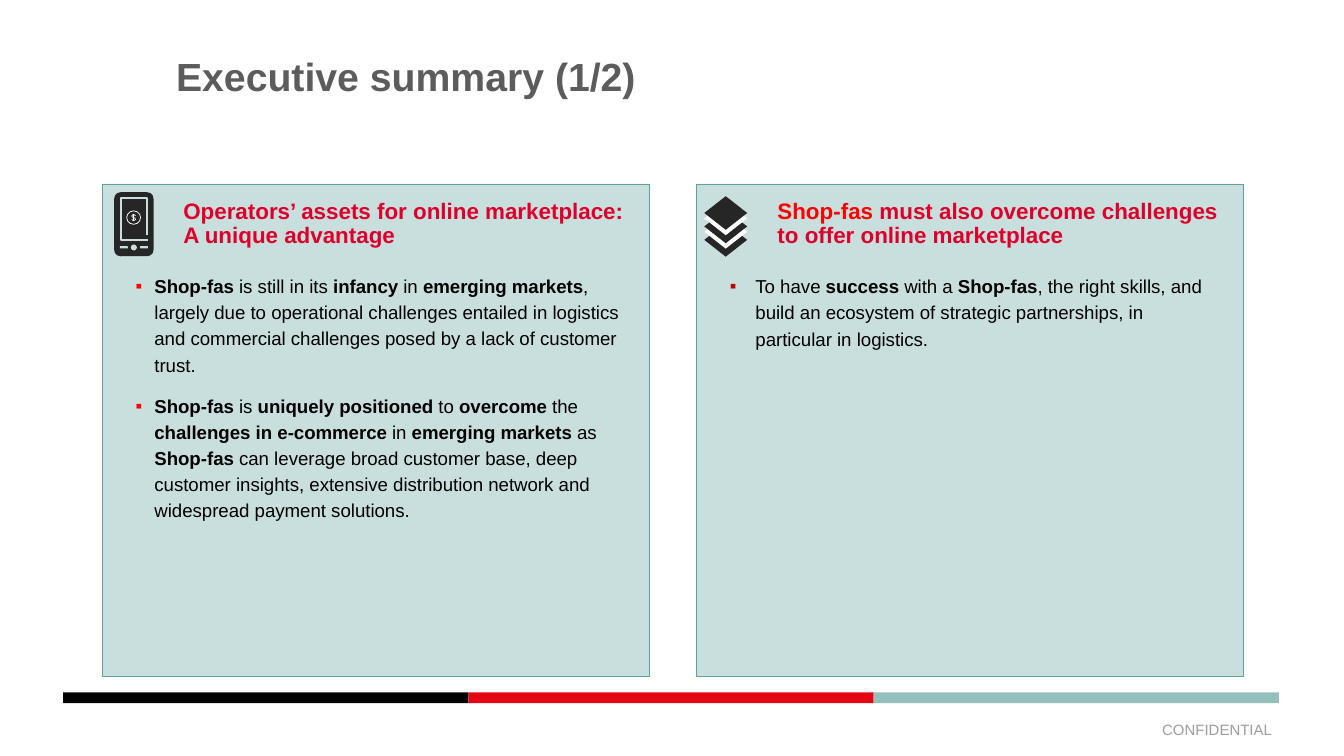
from dataclasses import dataclass

from lxml import etree
from pptx import Presentation
from pptx.dml.color import RGBColor
from pptx.enum.shapes import MSO_SHAPE
from pptx.enum.text import MSO_ANCHOR, PP_ALIGN
from pptx.oxml.ns import qn
from pptx.util import Pt

RECT, ROUND = MSO_SHAPE.RECTANGLE, MSO_SHAPE.ROUNDED_RECTANGLE
OVAL, GEM = MSO_SHAPE.OVAL, MSO_SHAPE.DIAMOND
TOP, MID = MSO_ANCHOR.TOP, MSO_ANCHOR.MIDDLE
LEFT, RIGHT = PP_ALIGN.LEFT, PP_ALIGN.RIGHT

HUES = {
    "black": "000000", "white": "FFFFFF", "red": "E30613", "teal": "94BFBD",
    "panel": "94C0BE", "edge": "5EA09E", "tint": "C9DFDE", "icon": "262626",
    "title": "5C5C5C", "head": "DE002B", "name": "FF0000", "dark": "C00000",
    "foot": "9C9C9C",
}
FONT = "Arial"


@dataclass
class Box:
    x: float
    y: float
    w: float
    h: float

    def pts(self) -> list:
        return [Pt(v) for v in (self.x, self.y, self.w, self.h)]


@dataclass
class Panel:
    x: float
    head: str
    mark: str       # bullet colour
    indent: float
    items: list


PANELS = [
    Panel(54.7, "Operators’ assets for online marketplace: A unique advantage",
          "name", 10, [
              "**Shop-fas **is still in its **infancy** in **emerging markets**, "
              "largely due to operational challenges entailed in logistics and "
              "commercial challenges posed by a lack of customer trust.",
              "**Shop-fas **is **uniquely positioned **to **overcome **the "
              "**challenges in e-commerce **in **emerging markets **as "
              "**Shop-fas** can leverage broad customer base, deep customer "
              "insights, extensive distribution network and widespread payment "
              "solutions."]),
    Panel(373, "**Shop-fas** must also overcome challenges to offer online "
          "marketplace", "dark", 13.7, [
              "To have **success **with a **Shop-fas**, the right skills, and "
              "build an ecosystem of strategic partnerships, in particular in "
              "logistics."]),
]


def hue(key: str) -> RGBColor:
    return RGBColor.from_string(HUES[key])


def draw(kind, box: Box, fill=None, line=None, width=0.25, alpha=None):
    shape = slide.shapes.add_shape(kind, *box.pts())
    shape.shadow.inherit = False
    if fill:
        shape.fill.solid()
        shape.fill.fore_color.rgb = hue(fill)
    else:
        shape.fill.background()
    if alpha:
        clr = shape.fill._xPr.find(qn("a:solidFill"))[0]
        etree.SubElement(clr, qn("a:alpha"), val=str(alpha * 1000))
    if line:
        shape.line.color.rgb = hue(line)
        shape.line.width = Pt(width)
    else:
        shape.line.fill.background()
    return shape


def trace(dots: list, color: str, width: float) -> None:
    """Draw an open line through the points."""
    (x, y), *rest = [(Pt(a), Pt(b)) for a, b in dots]
    pen = slide.shapes.build_freeform(x, y)
    pen.add_line_segments(rest, close=False)
    shape = pen.convert_to_shape()
    shape.shadow.inherit = False
    shape.fill.background()
    shape.line.color.rgb = hue(color)
    shape.line.width = Pt(width)


def bullet(para, color: str, indent: float) -> None:
    ppr = para._p.get_or_add_pPr()
    ppr.set("marL", str(Pt(indent)))
    ppr.set("indent", str(-Pt(indent)))
    clr = etree.SubElement(ppr, qn("a:buClr"))
    etree.SubElement(clr, qn("a:srgbClr"), val=HUES[color])
    etree.SubElement(ppr, qn("a:buFont"), typeface=FONT)
    etree.SubElement(ppr, qn("a:buChar"), char="▪")


def write(shape, lines: list, size=10, color="black", bold=False, accent=None,
          align=LEFT, anchor=TOP, inset=(0, 0), space=1.0, before=0, after=0,
          mark=None, indent=0) -> None:
    """Fill a text frame; parts between ** are bold, or in the accent colour."""
    frame = shape.text_frame
    frame.word_wrap = True
    frame.vertical_anchor = anchor
    frame.margin_left = frame.margin_right = Pt(inset[0])
    frame.margin_top = frame.margin_bottom = Pt(inset[1])
    for i, line in enumerate(lines):
        para = frame.add_paragraph() if i else frame.paragraphs[0]
        para.alignment = align
        para.line_spacing = space
        para.space_before = Pt(before if i else 0)
        para.space_after = Pt(after)
        if mark:
            bullet(para, mark, indent)
        for j, part in enumerate(line.split("**")):
            if not part:
                continue
            run = para.add_run()
            run.text = part
            font = run.font
            font.name, font.size = FONT, Pt(size)
            font.bold = bold or j % 2 == 1
            font.color.rgb = hue(accent if accent and j % 2 else color)


def text(box: Box, lines: list, **form) -> None:
    write(slide.shapes.add_textbox(*box.pts()), lines, **form)


def phone(x: float, y: float) -> None:
    body = draw(ROUND, Box(x, y, 21.1, 34.3), "icon")
    body.adjustments[0] = 0.16
    # Screen frame, open at lower right
    l, r, t, b = x + 3.5, x + 17.5, y + 3.3, y + 25.5
    trace([(r, b - 2.8), (r, t), (l, t), (l, b), (r + 0.5, b)], "tint", 1)
    # Buttons
    for dx in (3.1, 13.9):
        draw(ROUND, Box(x + dx, y + 28.9, 4.2, 1.2), "tint")
    draw(OVAL, Box(x + 8.9, y + 28, 3.2, 3.2), "tint")
    # Coin
    draw(OVAL, Box(x + 6.7, y + 10, 7.4, 7.2), line="white", width=0.4)
    cx, cy = x + 10.4, y + 13.6
    trace([(cx + a, cy + b) for a, b in (
        (1, -1), (0.4, -1.5), (-0.5, -1.5), (-1, -0.9), (-0.7, -0.3),
        (0.7, 0.3), (1, 0.9), (0.5, 1.5), (-0.4, 1.5), (-1, 1))],
        "white", 0.4)
    trace([(cx, cy - 2.1), (cx, cy + 2.1)], "white", 0.3)


def stack(x: float, y: float) -> None:
    for i, dy in enumerate((14.4, 10.1, 7.2, 2.9, 0)):
        draw(GEM, Box(x, y + dy, 23, 18), "white" if i % 2 else "icon")


deck = Presentation()
deck.slide_width, deck.slide_height = Pt(720), Pt(405)
slide = deck.slides.add_slide(deck.slide_layouts[5])

# Title
title = slide.shapes.title
title.left, title.top, title.width, title.height = Box(94.3, 31, 591, 67.6).pts()
write(title, ["Executive summary (1/2)"], size=21, color="title", bold=True,
      space=0.9)

# Footer
for i, key in enumerate(("black", "red", "teal")):
    draw(RECT, Box(33.8 + i * 217.1, 370.9, 217.1, 5.8), key)
text(Box(520.6, 380.2, 168, 21.6), ["CONFIDENTIAL"], size=8, color="foot",
     align=RIGHT, anchor=MID, inset=(7.2, 3.6))

# Panels
for p in PANELS:
    draw(RECT, Box(p.x, 98.6, 293, 263.5), "panel", "edge", alpha=50)
    text(Box(p.x + 36.4, 103.7, 256, 33), [p.head], size=12, color="head",
         bold=True, accent="name", inset=(7.2, 3.6), space=0.9)
    text(Box(p.x + 18, 145.4, 264, 134), p.items, space=Pt(14), before=3,
         after=5, mark=p.mark, indent=p.indent)

# Icons
phone(61.2, 103)
stack(377.3, 105.1)

deck.save("out.pptx")
